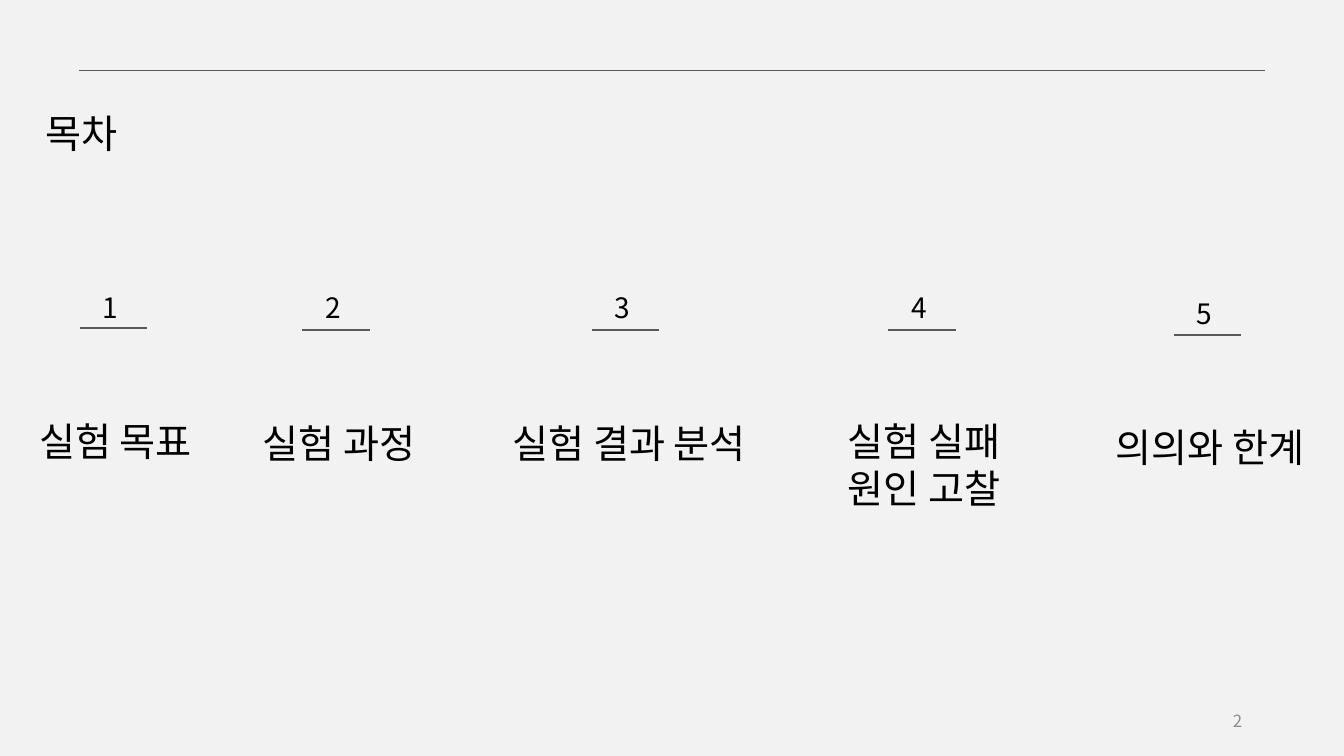
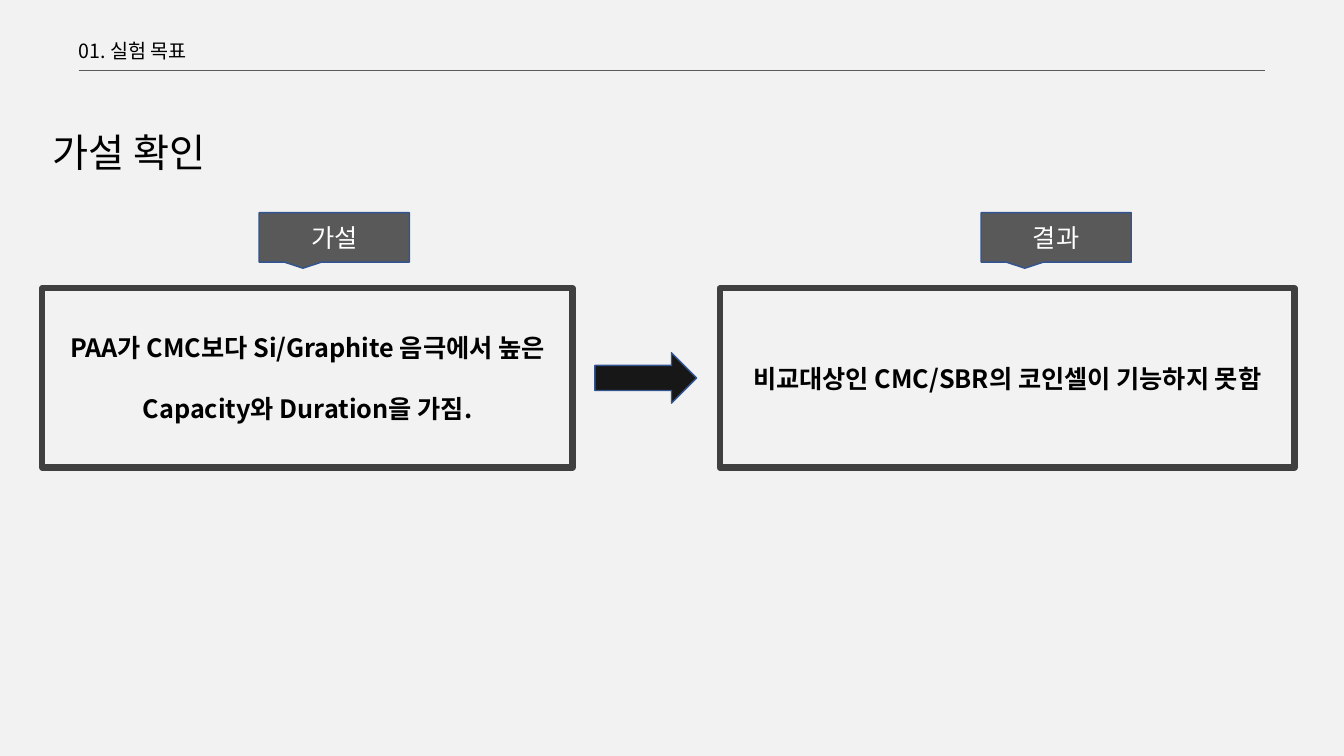
from lxml.etree import SubElement
from pptx import Presentation
from pptx.dml.color import RGBColor
from pptx.enum.shapes import MSO_CONNECTOR, MSO_SHAPE
from pptx.enum.text import MSO_ANCHOR, MSO_AUTO_SIZE, PP_ALIGN
from pptx.oxml.ns import qn
from pptx.util import Inches, Pt

FONT = "Noto Sans CJK KR"
COLORS = {
    "back": "F2F2F2",
    "text": "000000",
    "rule": "595959",
    "frame": "404040",
    "arrow": "181717",
    "edge": "325491",
    "page": "8C8C8C",
    "white": "FFFFFF",
}
TOPICS = [
    (["실험 목표"], 0.79, 2.83, 3.25, (0.05, 4.09, 2.19, 0.57)),
    (["실험 과정"], 3, 2.83, 3.27, (2.42, 4.11, 1.88, 0.57)),
    (["실험 결과 분석"], 5.87, 2.83, 3.27, (4.81, 4.11, 2.86, 0.57)),
    (["실험 실패", "원인 고찰"], 8.81, 2.83, 3.27, (7.91, 4.09, 2.51, 1.04)),
    (["의의와 한계"], 11.64, 2.89, 3.32, (10.91, 4.15, 2.19, 0.57)),
]
PANELS = [
    ("가설", 2.57, (0.42, 2.86, 5.26, 1.78),
     ["PAA가 CMC보다 Si/Graphite 음극에서 높은", "Capacity와 Duration을 가짐."]),
    ("결과", 9.73, (7.14, 2.86, 5.7, 1.78),
     ["비교대상인 CMC/SBR의 코인셀이 기능하지 못함"]),
]


def color(name):
    return RGBColor.from_string(COLORS[name])


def inches(box):
    return [Inches(n) for n in box]


def write(frame, lines, size, ink="text", align=PP_ALIGN.LEFT,
          anchor=MSO_ANCHOR.TOP, bold=False, gap=0):
    frame.word_wrap = True
    frame.auto_size = MSO_AUTO_SIZE.NONE
    frame.vertical_anchor = anchor
    for i, line in enumerate(lines):
        para = frame.add_paragraph() if i else frame.paragraphs[0]
        para.text = line
        para.alignment = align
        para.space_before = Pt(gap if i else 0)
        font = para.font
        font.size = Pt(size)
        font.bold = bold
        font.name = FONT
        font.color.rgb = color(ink)
        props = para._p.pPr.find(qn("a:defRPr"))
        SubElement(props, qn("a:ea")).set("typeface", FONT)


def add_text(shapes, box, lines, size, **style):
    write(shapes.add_textbox(*inches(box)).text_frame, lines, size, **style)


def add_rule(shapes, left, right, top, width):
    rule = shapes.add_connector(
        MSO_CONNECTOR.STRAIGHT, *inches((left, top, right, top)))
    rule.line.color.rgb = color("rule")
    rule.line.width = Pt(width)
    SubElement(rule._element.spPr, qn("a:effectLst"))


def add_block(slide, kind, box, edge, width, fill=None):
    block = slide.shapes.add_shape(kind, *inches(box))
    block.shadow.inherit = False
    if fill:
        block.fill.solid()
        block.fill.fore_color.rgb = color(fill)
    else:
        block.fill.background()
    block.line.color.rgb = color(edge)
    block.line.width = Pt(width)
    return block


def add_slide(deck, title, box):
    slide = deck.slides.add_slide(deck.slide_layouts[5])
    head = slide.shapes.title
    head.left, head.top, head.width, head.height = inches(box)
    write(head.text_frame, [title], 28)
    head.text_frame.paragraphs[0].line_spacing = 1.5
    add_rule(slide.shapes, 0.78, 12.55, 0.7, 1)
    return slide


def add_topic(slide, number, lines, left, top, rule, box):
    shapes = slide.shapes.add_group_shape().shapes
    add_text(shapes, (left + 0.13, top, 0.46, 0.44), [str(number)], 20)
    add_rule(shapes, left, left + 0.67, rule, 1.5)
    add_text(shapes, box, lines, 28, align=PP_ALIGN.CENTER)


def add_panel(slide, label, left, box, lines):
    middle = {"align": PP_ALIGN.CENTER, "anchor": MSO_ANCHOR.MIDDLE}
    panel = add_block(slide, MSO_SHAPE.RECTANGLE, box, "frame", 4.5)
    frame = panel.text_frame
    frame.margin_left = frame.margin_right = Inches(0.05)
    write(frame, lines, 18, bold=True, gap=22, **middle)
    tag = add_block(slide, MSO_SHAPE.RECTANGULAR_CALLOUT,
                    (left, 2.11, 1.49, 0.49), "edge", 1, "rule")
    write(tag.text_frame, [label], 18, ink="white", **middle)


def main():
    deck = Presentation()
    deck.slide_width, deck.slide_height = inches((13.33, 7.5))
    back = deck.slide_master.background.fill
    back.solid()
    back.fore_color.rgb = color("back")

    slide = add_slide(deck, "목차", (0.35, 0.8, 1.29, 0.74))
    for number, topic in enumerate(TOPICS, 1):
        add_topic(slide, number, *topic)
    add_text(slide.shapes, (9.42, 6.95, 3, 0.4), ["2"], 12, ink="page",
             align=PP_ALIGN.RIGHT, anchor=MSO_ANCHOR.MIDDLE)

    slide = add_slide(deck, "가설 확인", (0.42, 0.99, 3.86, 0.74))
    add_text(slide.shapes, (0.68, 0.34, 1.89, 0.34), ["01. 실험 목표"], 14)
    for panel in PANELS:
        add_panel(slide, *panel)
    add_block(slide, MSO_SHAPE.RIGHT_ARROW, (5.9, 3.5, 1.01, 0.5),
              "edge", 1, "arrow")
    deck.save("out.pptx")


if __name__ == "__main__":
    main()
